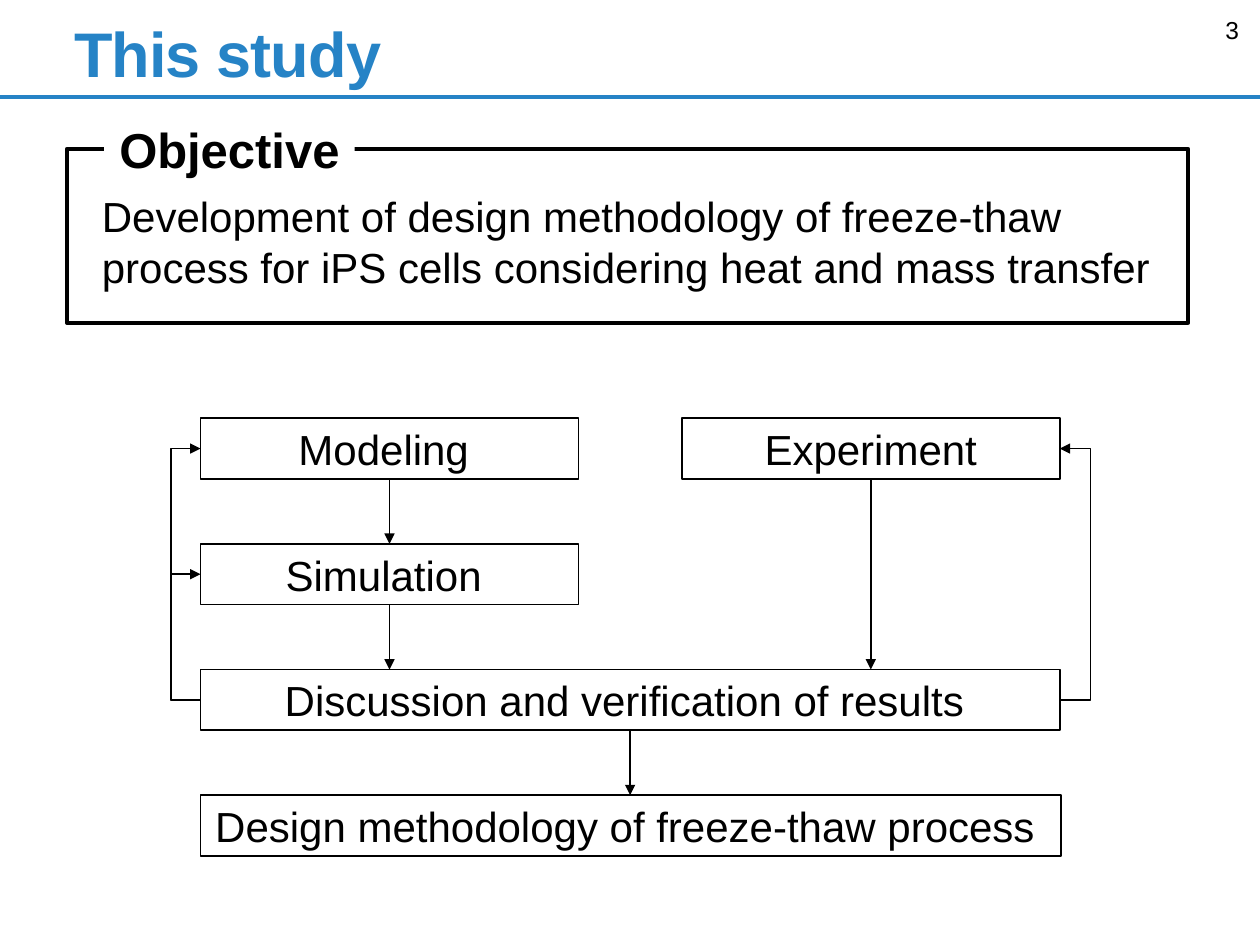
from lxml import etree
from pptx import Presentation
from pptx import util as u
from pptx.dml.color import RGBColor
from pptx.enum import shapes, text
from pptx.oxml.ns import qn

Pt = u.Pt
BLACK, BLUE, WHITE = "000000", "2683C6", "FFFFFF"
color = RGBColor.from_string


def style_line(sp, width, hex_color=BLACK, arrow=False):
    """Set the outline, with no shadow and an optional arrowhead at the end."""
    sp.line.width = Pt(width)
    sp.line.color.rgb = color(hex_color)
    if arrow:
        etree.SubElement(sp.line._ln, qn("a:tailEnd"), type="triangle")
    etree.SubElement(sp._element.spPr, qn("a:effectLst"))


def write(sp, words, size, hex_color=BLACK, bold=False,
          align=text.PP_ALIGN.LEFT, anchor=text.MSO_ANCHOR.TOP):
    tf = sp.text_frame
    tf.word_wrap = True
    tf.vertical_anchor = anchor
    p = tf.paragraphs[0]
    p.alignment = align
    r = p.add_run()
    r.text = words
    r.font.name, r.font.size, r.font.bold = "Arial", Pt(size), bold
    r.font.color.rgb = color(hex_color)
    return p


prs = Presentation()
prs.slide_width, prs.slide_height = Pt(720), Pt(540)
s = prs.slides.add_slide(prs.slide_layouts[6])
RECT = shapes.MSO_SHAPE.RECTANGLE
STRAIGHT = shapes.MSO_CONNECTOR.STRAIGHT
CENTER, MIDDLE = text.PP_ALIGN.CENTER, text.MSO_ANCHOR.MIDDLE

# Header
rule = s.shapes.add_connector(STRAIGHT, 0, Pt(55.5), Pt(720), Pt(55.5))
style_line(rule, 2.25, BLUE)
title = s.shapes.add_textbox(Pt(35.3), Pt(9.4), Pt(623.5), Pt(46))
p = write(title, "This study", 36, BLUE, True, anchor=text.MSO_ANCHOR.BOTTOM)
p.line_spacing = 0.85
p.runs[0].font._element.set("spc", "-50")
number = s.shapes.add_textbox(Pt(637.2), Pt(5), Pt(77.8), Pt(28.8))
write(number, "3", 14, align=text.PP_ALIGN.RIGHT)

# Objective
frame = s.shapes.add_shape(RECT, Pt(38.2), Pt(85), Pt(640.8), Pt(99.4))
frame.fill.background()
style_line(frame, 2.25)
heading = s.shapes.add_shape(RECT, Pt(59.5), Pt(64.4), Pt(143.2), Pt(41))
heading.fill.solid()
heading.fill.fore_color.rgb = color(WHITE)
heading.line.fill.background()
heading.shadow.inherit = False
write(heading, "Objective", 28, bold=True, align=CENTER, anchor=MIDDLE)
goal = s.shapes.add_textbox(Pt(51.1), Pt(105.4), Pt(620.6), Pt(65.5))
write(goal, "Development of design methodology of freeze-thaw process "
            "for iPS cells considering heat and mass transfer", 24)

# Flow chart boxes: label, left, row, width
left, right, box_w, box_h = 114.6, 605.6, 216, 34.7
tops = [239 + 71.8 * row for row in range(4)]
mids = [top + box_h / 2 for top in tops]
boxes = [
    ("Modeling ", left, 0, box_w),
    ("Experiment", right - box_w, 0, box_w),
    ("Simulation ", left, 1, box_w),
    ("Discussion and verification of results ", left, 2, right - left),
    ("Design methodology of freeze-thaw process ", left, 3, right - left + 0.7),
]
for label, x, row, w in boxes:
    sp = s.shapes.add_shape(RECT, Pt(x), Pt(tops[row]), Pt(w), Pt(box_h))
    sp.fill.background()
    style_line(sp, 1)
    tf = sp.text_frame
    tf.margin_left = tf.margin_right = tf.margin_top = tf.margin_bottom = Pt(2.9)
    write(sp, label, 24, align=CENTER, anchor=MIDDLE)

# Downward arrows: centre, from row, to row
left_mid, right_mid = left + box_w / 2, right - box_w / 2
for x, start, end in [(left_mid, 0, 1), (left_mid, 1, 2), (right_mid, 0, 2),
                      ((left + right) / 2, 2, 3)]:
    arrow = s.shapes.add_connector(STRAIGHT, Pt(x), Pt(tops[start] + box_h),
                                   Pt(x), Pt(tops[end]))
    style_line(arrow, 1, arrow=True)

# Feedback arrows from the discussion: box side, outer x, target row
for x, outer, row in [(left, left - 17, 1), (left, left - 17, 0),
                      (right, right + 17.6, 0)]:
    fb = s.shapes.build_freeform(Pt(x), Pt(mids[2]))
    fb.add_line_segments([(Pt(outer), Pt(mids[2])), (Pt(outer), Pt(mids[row])),
                          (Pt(x), Pt(mids[row]))], close=False)
    loop = fb.convert_to_shape()
    loop.fill.background()
    style_line(loop, 1, arrow=True)

prs.save("out.pptx")
